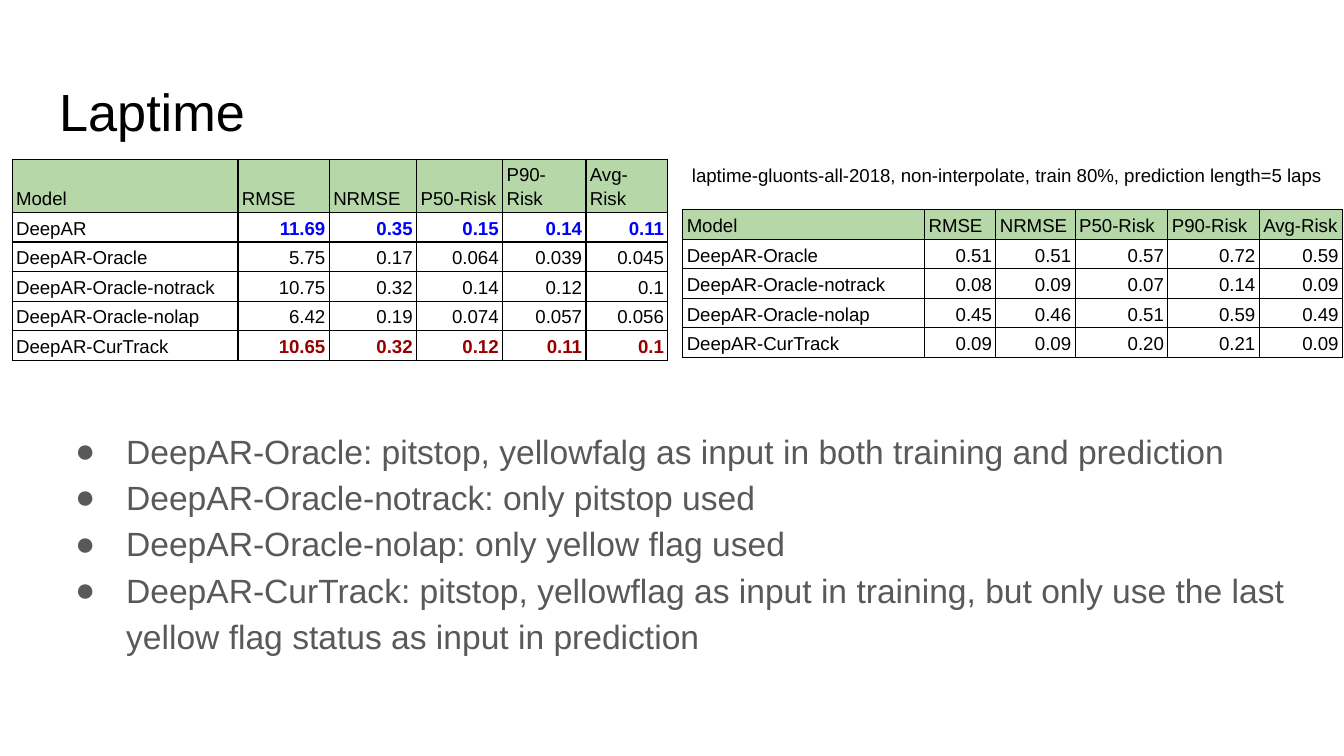
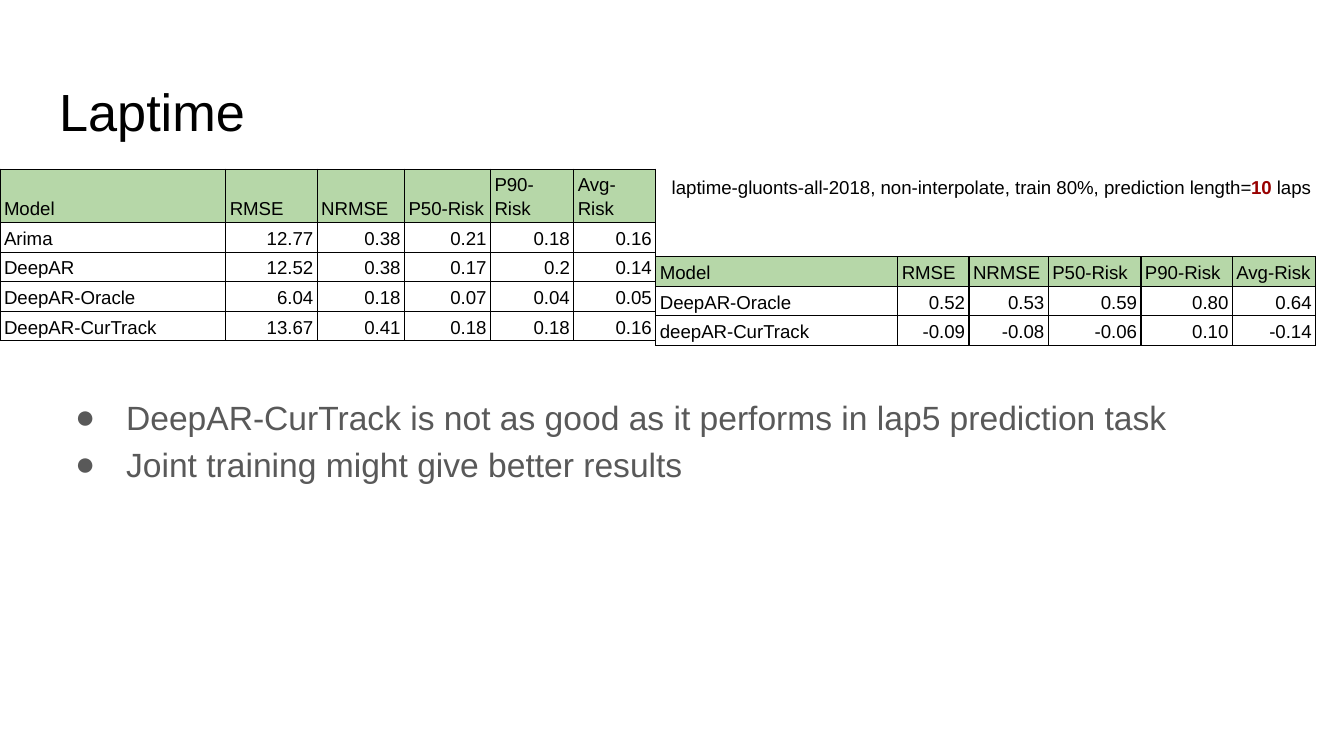
from lxml.etree import SubElement
from pptx import Presentation
from pptx.dml.color import RGBColor
from pptx.enum.text import MSO_ANCHOR as Anchor, MSO_AUTO_SIZE as AutoSize, PP_ALIGN as Align
from pptx.oxml.ns import qn
from pptx.util import Inches, Pt

COLORS = {
    "text": "000000",
    "body": "595959",
    "header": "B6D7A8",
    "border": "000000",
    "baseline": "0000FF",
    "accent": "980000",
}
FONT = "Arial"
SLIDE_WIDTH, SLIDE_HEIGHT = Inches(10), Inches(5.625)
# The grid has 100 columns, and its rows are as high as its columns are wide.
UNIT = SLIDE_WIDTH / 100

MARGIN, CONTENT_WIDTH = 3.4, 93.2
TITLE_BOX = (MARGIN, 4.9, CONTENT_WIDTH, 6.3)
HEADINGS = ["Model", "RMSE", "NRMSE", "P50-Risk", "P90-Risk", "Avg-Risk"]
SCORE_COLUMNS = [16.8, 6.8, 6.5, 6.4, 6.2, 6.1]
GAIN_COLUMNS = [18, 5.3, 5.9, 6.9, 6.8, 6.2]
ROW_HEIGHT, TALL_ROW_HEIGHT = 2.2, 3.65
CAPTION = "laptime-gluonts-all-2018, non-interpolate, train 80%, prediction length="

SLIDES = [
    {
        "title": "Laptime",
        "scores_at": (0.9, 11.85),
        "scores": [
            ["DeepAR", "11.69", "0.35", "0.15", "0.14", "0.11"],
            ["DeepAR-Oracle", "5.75", "0.17", "0.064", "0.039", "0.045"],
            ["DeepAR-Oracle-notrack", "10.75", "0.32", "0.14", "0.12", "0.1"],
            ["DeepAR-Oracle-nolap", "6.42", "0.19", "0.074", "0.057", "0.056"],
            ["DeepAR-CurTrack", "10.65", "0.32", "0.12", "0.11", "0.1"],
        ],
        "highlights": {"DeepAR": "baseline", "DeepAR-CurTrack": "accent"},
        "gains_at": (50.8, 15.6),
        "gains": [
            ["DeepAR-Oracle", "0.51", "0.51", "0.57", "0.72", "0.59"],
            ["DeepAR-Oracle-notrack", "0.08", "0.09", "0.07", "0.14", "0.09"],
            ["DeepAR-Oracle-nolap", "0.45", "0.46", "0.51", "0.59", "0.49"],
            ["DeepAR-CurTrack", "0.09", "0.09", "0.20", "0.21", "0.09"],
        ],
        "caption_box": (50.5, 11.2, 49.2, 9.4),
        "caption": [(CAPTION + "5 laps", "text", False)],
        "bullets_box": (MARGIN, 30.6, CONTENT_WIDTH, 19.4),
        "bullets": [
            "DeepAR-Oracle: pitstop, yellowfalg as input in both training and prediction",
            "DeepAR-Oracle-notrack: only pitstop used",
            "DeepAR-Oracle-nolap: only yellow flag used",
            "DeepAR-CurTrack: pitstop, yellowflag as input in training, "
            "but only use the last yellow flag status as input in prediction",
        ],
    },
    {
        "title": "Laptime",
        "scores_at": (0, 12.6),
        "scores": [
            ["Arima", "12.77", "0.38", "0.21", "0.18", "0.16"],
            ["DeepAR", "12.52", "0.38", "0.17", "0.2", "0.14"],
            ["DeepAR-Oracle", "6.04", "0.18", "0.07", "0.04", "0.05"],
            ["DeepAR-CurTrack", "13.67", "0.41", "0.18", "0.18", "0.16"],
        ],
        "highlights": {},
        "gains_at": (48.8, 19.1),
        "gains": [
            ["DeepAR-Oracle", "0.52", "0.53", "0.59", "0.80", "0.64"],
            ["deepAR-CurTrack", "-0.09", "-0.08", "-0.06", "0.10", "-0.14"],
        ],
        "caption_box": (49, 12.1, 51, 9.4),
        "caption": [
            (CAPTION, "text", False),
            ("10", "accent", True),
            (" laps", "text", False),
        ],
        "bullets_box": (MARGIN, 28.1, CONTENT_WIDTH, 21.8),
        "bullets": [
            "DeepAR-CurTrack is not as good as it performs in lap5 prediction task",
            "Joint training might give better results",
        ],
    },
]


def units(*lengths):
    """Turn grid lengths into slide lengths."""
    return [round(length * UNIT) for length in lengths]


def rgb(name):
    return RGBColor.from_string(COLORS[name])


def add_run(paragraph, text, size, color="text", bold=False):
    run = paragraph.add_run()
    run.text = text
    run.font.name = FONT
    run.font.size = Pt(size)
    run.font.bold = bold
    run.font.color.rgb = rgb(color)


def prepare_frame(shape):
    """Give a text shape wrapped, top-aligned text with even insets."""
    frame = shape.text_frame
    frame.word_wrap = True
    frame.auto_size = AutoSize.NONE
    frame.vertical_anchor = Anchor.TOP
    frame.margin_left = frame.margin_right = Inches(0.1)
    frame.margin_top = frame.margin_bottom = Inches(0.1)
    return frame


def add_title(slide, text, box):
    title = slide.shapes.title
    title.left, title.top, title.width, title.height = units(*box)
    paragraph = prepare_frame(title).paragraphs[0]
    paragraph.alignment = Align.LEFT
    paragraph.line_spacing = 1
    add_run(paragraph, text, 28)


def add_caption(slide, runs, box):
    paragraph = prepare_frame(slide.shapes.add_textbox(*units(*box))).paragraphs[0]
    for text, color, bold in runs:
        add_run(paragraph, text, 10, color, bold)


def set_bullet(paragraph):
    properties = paragraph._p.get_or_add_pPr()
    properties.set("marL", str(Inches(0.5)))
    properties.set("indent", str(-Inches(0.38)))
    color = SubElement(properties, qn("a:buClr"))
    SubElement(color, qn("a:srgbClr"), val=COLORS["body"])
    SubElement(properties, qn("a:buFont"), typeface=FONT)
    SubElement(properties, qn("a:buChar"), char="●")


def add_bullets(slide, items, box):
    frame = prepare_frame(slide.shapes.add_textbox(*units(*box)))
    for index, item in enumerate(items):
        paragraph = frame.add_paragraph() if index else frame.paragraphs[0]
        paragraph.line_spacing = 1.15
        set_bullet(paragraph)
        add_run(paragraph, item, 18, "body")


def set_borders(cell):
    properties = cell._tc.get_or_add_tcPr()
    for side in ("lnL", "lnR", "lnT", "lnB"):
        line = SubElement(properties, qn(f"a:{side}"), w=str(Pt(0.75)))
        fill = SubElement(line, qn("a:solidFill"))
        SubElement(fill, qn("a:srgbClr"), val=COLORS["border"])


def fill_cell(cell, text, is_header, is_number, highlight):
    cell.margin_left = cell.margin_right = Inches(0.03)
    cell.margin_top = cell.margin_bottom = Inches(0.02)
    cell.vertical_anchor = Anchor.BOTTOM
    set_borders(cell)
    if is_header:
        cell.fill.solid()
        cell.fill.fore_color.rgb = rgb("header")
    else:
        cell.fill.background()
    paragraph = cell.text_frame.paragraphs[0]
    paragraph.line_spacing = 1.15
    paragraph.alignment = Align.RIGHT if is_number else Align.LEFT
    add_run(paragraph, text, 10, highlight or "text", bool(highlight))


def add_metrics_table(slide, records, position, columns, header_height, highlights):
    rows = [HEADINGS] + records
    heights = [header_height] + [ROW_HEIGHT] * len(records)
    box = units(*position, sum(columns), sum(heights))
    table = slide.shapes.add_table(len(rows), len(columns), *box).table
    table.horz_banding = False
    for column, width in zip(table.columns, units(*columns)):
        column.width = width
    for row, height in zip(table.rows, units(*heights)):
        row.height = height
    for r, record in enumerate(rows):
        for c, text in enumerate(record):
            is_number = r > 0 and c > 0
            highlight = highlights.get(record[0]) if is_number else None
            fill_cell(table.cell(r, c), text, r == 0, is_number, highlight)


def add_results_slide(presentation, content):
    slide = presentation.slides.add_slide(presentation.slide_layouts[5])
    add_title(slide, content["title"], TITLE_BOX)
    add_bullets(slide, content["bullets"], content["bullets_box"])
    add_metrics_table(slide, content["scores"], content["scores_at"],
                      SCORE_COLUMNS, TALL_ROW_HEIGHT, content["highlights"])
    add_metrics_table(slide, content["gains"], content["gains_at"],
                      GAIN_COLUMNS, ROW_HEIGHT, {})
    add_caption(slide, content["caption"], content["caption_box"])


def main():
    presentation = Presentation()
    presentation.slide_width, presentation.slide_height = SLIDE_WIDTH, SLIDE_HEIGHT
    for content in SLIDES:
        add_results_slide(presentation, content)
    presentation.save("out.pptx")


if __name__ == "__main__":
    main()
